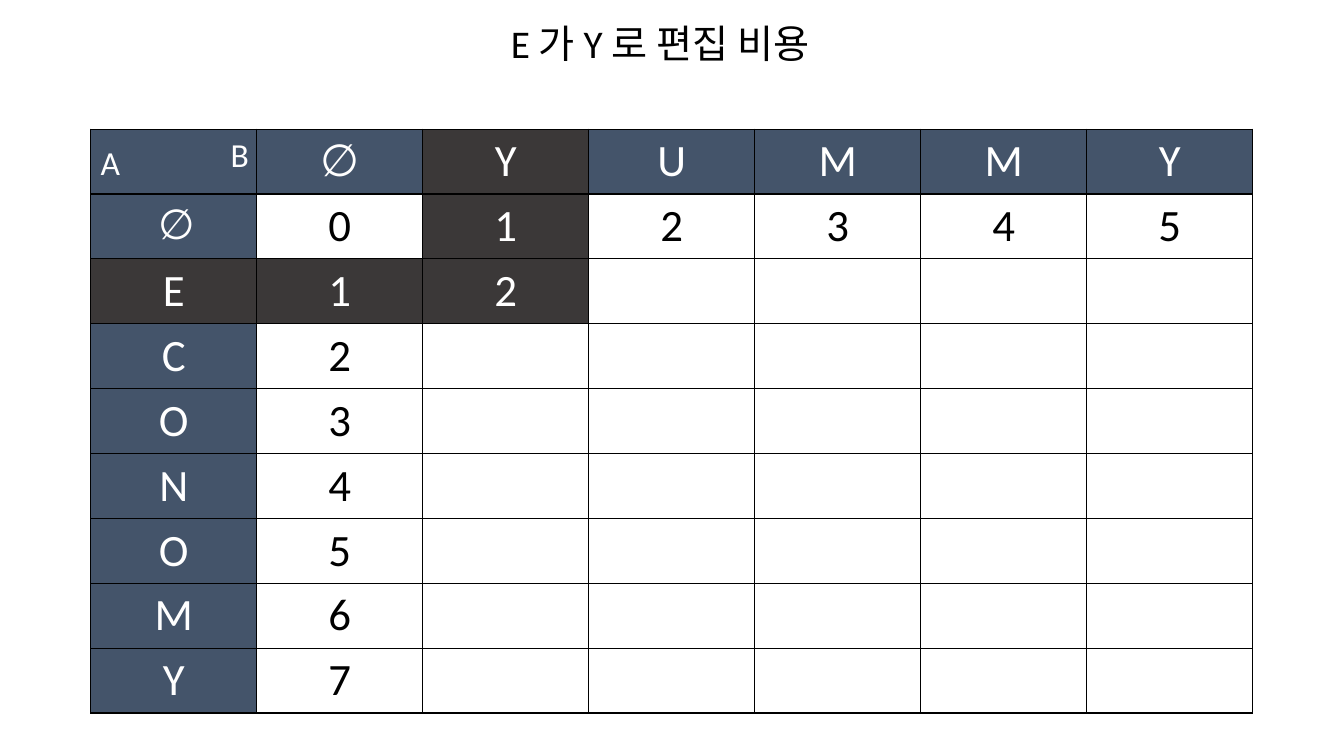
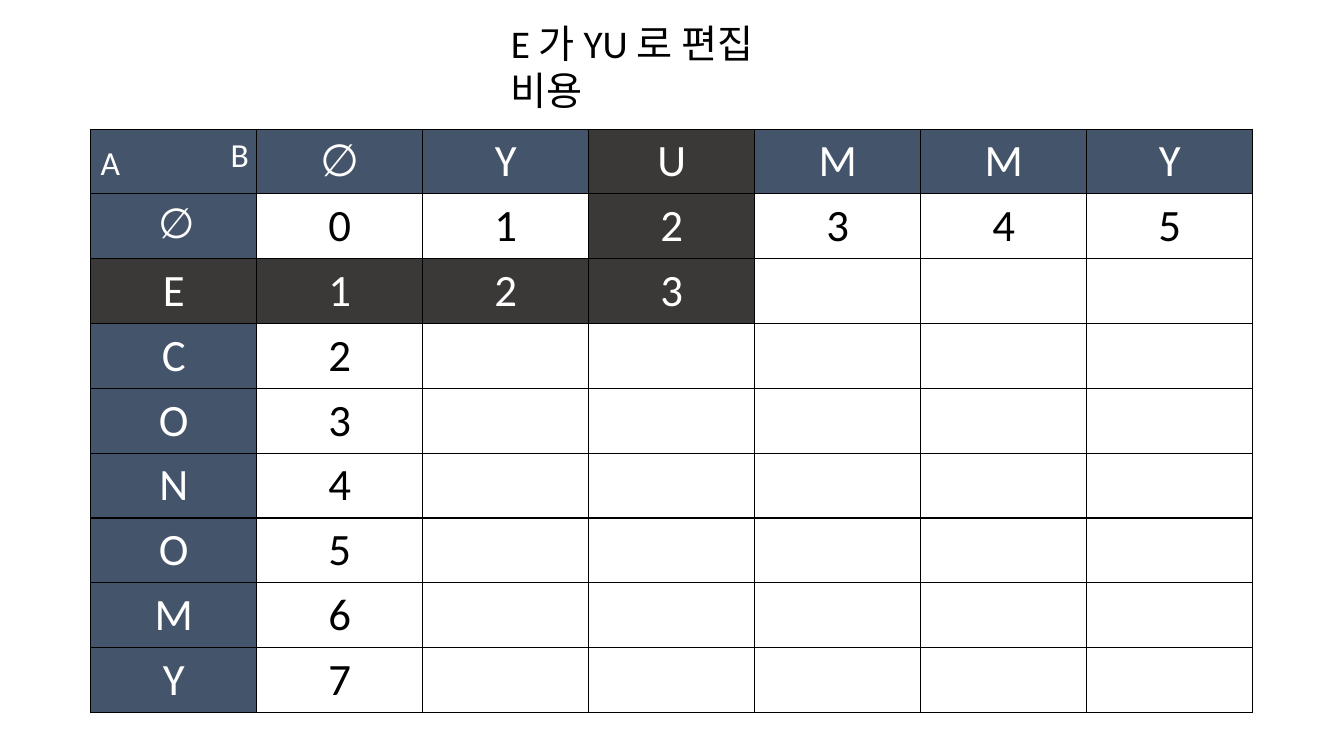
import pptx
import pptx.dml.color
import pptx.enum.text
import pptx.oxml
import pptx.oxml.ns
import pptx.util

Pt = pptx.util.Pt
FONT = "Calibri"
COLORS = {"header": "44546A", "active": "3B3838", "light": "FFFFFF", "dark": "000000"}
SOURCE = "∅ECONOMY"
TARGET = "∅YUMMY"
LEFT, TOP, COL_W, ROW_H = 64.8, 92.2, 118.6, 46.3


def write(tf, text, size, color):
    """Put one run of text in the first paragraph and return the paragraph."""
    p = tf.paragraphs[0]
    r = p.add_run()
    r.text = text
    for name, value in {"name": FONT, "size": Pt(size)}.items():
        setattr(r.font, name, value)
    r.font.color.rgb = pptx.dml.color.RGBColor.from_string(COLORS[color])
    return p


def add_borders(cell):
    tc_pr = cell._tc.get_or_add_tcPr()
    for side in ("lnL", "lnR", "lnT", "lnB"):
        tc_pr.append(pptx.oxml.parse_xml(
            f'<a:{side} {pptx.oxml.ns.nsdecls("a")} w="{Pt(1)}"><a:solidFill>'
            f'<a:srgbClr val="{COLORS["dark"]}"/></a:solidFill></a:{side}>'))


prs = pptx.Presentation()
prs.slide_width, prs.slide_height = Pt(960), Pt(540)

for prefix in ("Y", "YU"):
    s = prs.slides.add_slide(prs.slide_layouts[6])
    n_rows, n_cols = len(SOURCE) + 1, len(TARGET) + 1
    table = s.shapes.add_table(n_rows, n_cols, Pt(LEFT), Pt(TOP),
                               Pt(n_cols * COL_W), Pt(n_rows * ROW_H)).table
    table.first_row = table.horz_banding = False
    for column in table.columns:
        column.width = Pt(COL_W)
    for row in table.rows:
        row.height = Pt(ROW_H)

    # The active row is E; the active column is the last letter of the prefix.
    active_row, active_col = 2, len(prefix) + 1
    for i in range(n_rows):
        for j in range(n_cols):
            cell = table.cell(i, j)
            add_borders(cell)
            active = (i == active_row and j <= active_col) or (j == active_col and i <= active_row)
            header = i == 0 or j == 0
            if active or header:
                cell.fill.solid()
                fill = COLORS["active" if active else "header"]
                cell.fill.fore_color.rgb = pptx.dml.color.RGBColor.from_string(fill)
            else:
                cell.fill.background()

            if i == 0 and j == 0:
                text = ""
            elif i == 0:
                text = TARGET[j - 1]
            elif j == 0:
                text = SOURCE[i - 1]
            elif i == 1 or (i == active_row and active):
                text = str(i + j - 2 if i == 1 or j == 1 else j)
            else:
                text = str(i - 1) if j == 1 else ""
            if text:
                size = 30 if (i, j) == (1, 0) else 32
                p = write(cell.text_frame, text, size, "light" if active or header else "dark")
                p.alignment = pptx.enum.text.PP_ALIGN.CENTER
    table.cell(1, 0).margin_left = Pt(11.2)

    labels = [
        ("A", LEFT, 97.9, 28.8, 36, 24, "light", False),
        ("B", 157.7, TOP, 27.4, 36, 24, "light", False),
        (f"E 가 {prefix} 로 편집 비용", 357.8, 10.1, 232, 41, 28, "dark", True),
    ]
    for text, x, y, w, h, size, color, wrap in labels:
        tf = s.shapes.add_textbox(Pt(x), Pt(y), Pt(w), Pt(h)).text_frame
        tf.word_wrap = wrap
        write(tf, text, size, color)

prs.save("out.pptx")
